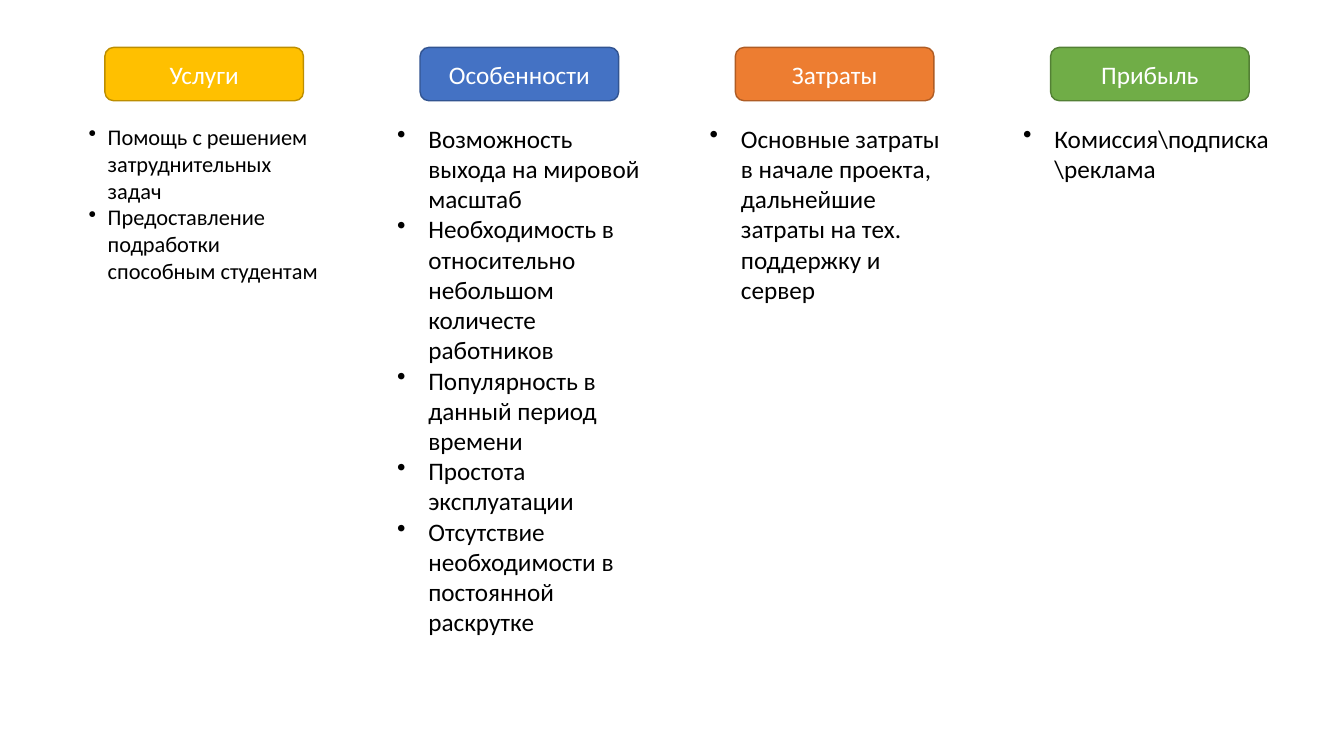
from lxml import etree
from pptx import Presentation
from pptx.dml.color import RGBColor
from pptx.enum.shapes import MSO_SHAPE
from pptx.enum.text import MSO_ANCHOR, MSO_AUTO_SIZE, PP_ALIGN
from pptx.oxml.ns import qn
from pptx.util import Inches, Pt

ROUNDED = MSO_SHAPE.ROUNDED_RECTANGLE
MIDDLE = MSO_ANCHOR.MIDDLE
GROW = MSO_AUTO_SIZE.SHAPE_TO_FIT_TEXT
CENTER = PP_ALIGN.CENTER
LEFT = PP_ALIGN.LEFT

COLORS = {
    "white": "FFFFFF", "black": "000000",
    "gold": "FFC000", "gold_edge": "BD8E00",
    "blue": "4472C4", "blue_edge": "325491",
    "orange": "ED7D31", "orange_edge": "AF5C24",
    "green": "70AD47", "green_edge": "538035",
}

HEADING_LEFT, HEADING_TOP = 1.04, 0.47
HEADING_WIDTH, HEADING_HEIGHT = 1.97, 0.53
HEADING_PITCH = (10.42 - HEADING_LEFT) / 3
LIST_TOP = 1.17

# heading, colour, list (left, width, height), text size, indent, items
COLUMNS = [
    ("Услуги", "gold", (0.78, 2.48, 2.12), 16, 0.19, [
        "Помощь с решением затруднительных задач",
        "Предоставление подработки способным студентам",
    ]),
    ("Особенности", "blue", (3.84, 2.61, 5.25), 18, 0.31, [
        "Возможность выхода на мировой масштаб",
        "Необходимость в относительно небольшом количесте работников",
        "Популярность в данный период времени",
        "Простота эксплуатации",
        "Отсутствие необходимости в постоянной раскрутке",
    ]),
    ("Затраты", "orange", (6.94, 2.49, 2.52), 18, 0.31, [
        "Основные затраты в начале проекта, дальнейшие затраты "
        "на тех. поддержку и сервер",
    ]),
    ("Прибыль", "green", (10.05, 2.67, 1.31), 18, 0.31, [
        r"Комиссия\подписка\реклама",
    ]),
]


class SlideBuilder:
    """Holds the text style and the slide being drawn."""

    font = "Calibri"
    heading_size = 18

    def __init__(self, page):
        self.page = page

    def color(self, name):
        return RGBColor.from_string(COLORS[name])

    def fill_paragraph(self, para, text, size, color, align):
        para.alignment = align
        span = para.add_run()
        span.text = text
        style = {"name": self.font, "size": Pt(size)}
        for name, value in style.items():
            setattr(span.font, name, value)
        span.font.color.rgb = self.color(color)

    def heading(self, left, text, color):
        box = self.page.shapes.add_shape(
            ROUNDED, Inches(left), Inches(HEADING_TOP),
            Inches(HEADING_WIDTH), Inches(HEADING_HEIGHT))
        box.shadow.inherit = False
        box.fill.solid()
        box.fill.fore_color.rgb = self.color(color)
        box.line.color.rgb = self.color(color + "_edge")
        box.line.width = Pt(1)
        frame = box.text_frame
        frame.vertical_anchor = MIDDLE
        self.fill_paragraph(
            frame.paragraphs[0], text, self.heading_size, "white", CENTER)

    def bullet(self, para, indent):
        properties = para._p.get_or_add_pPr()
        properties.set("marL", str(Inches(indent)))
        properties.set("indent", str(-Inches(indent)))
        etree.SubElement(properties, qn("a:buChar"), char="•")

    def bullet_list(self, place, items, size, indent):
        left, width, height = place
        box = self.page.shapes.add_textbox(
            Inches(left), Inches(LIST_TOP), Inches(width), Inches(height))
        frame = box.text_frame
        for name, value in {"word_wrap": True, "auto_size": GROW}.items():
            setattr(frame, name, value)
        for number, item in enumerate(items):
            para = frame.add_paragraph() if number else frame.paragraphs[0]
            self.fill_paragraph(para, item, size, "black", LEFT)
            self.bullet(para, indent)


def main():
    deck = Presentation()
    deck.slide_width, deck.slide_height = Inches(13.33), Inches(7.5)
    builder = SlideBuilder(deck.slides.add_slide(deck.slide_layouts[6]))
    for number, column in enumerate(COLUMNS):
        title, color, place, size, indent, items = column
        builder.heading(HEADING_LEFT + number * HEADING_PITCH, title, color)
        builder.bullet_list(place, items, size, indent)
    deck.save("out.pptx")


if __name__ == "__main__":
    main()
